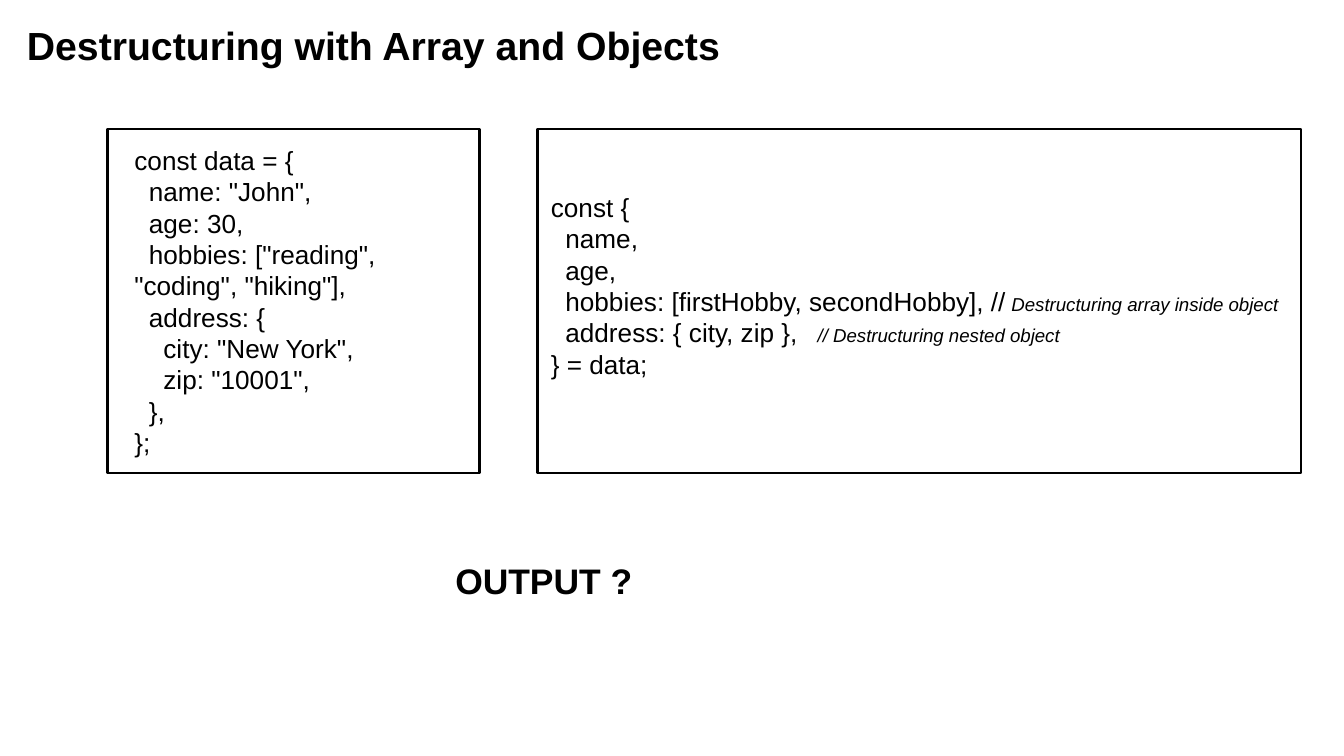
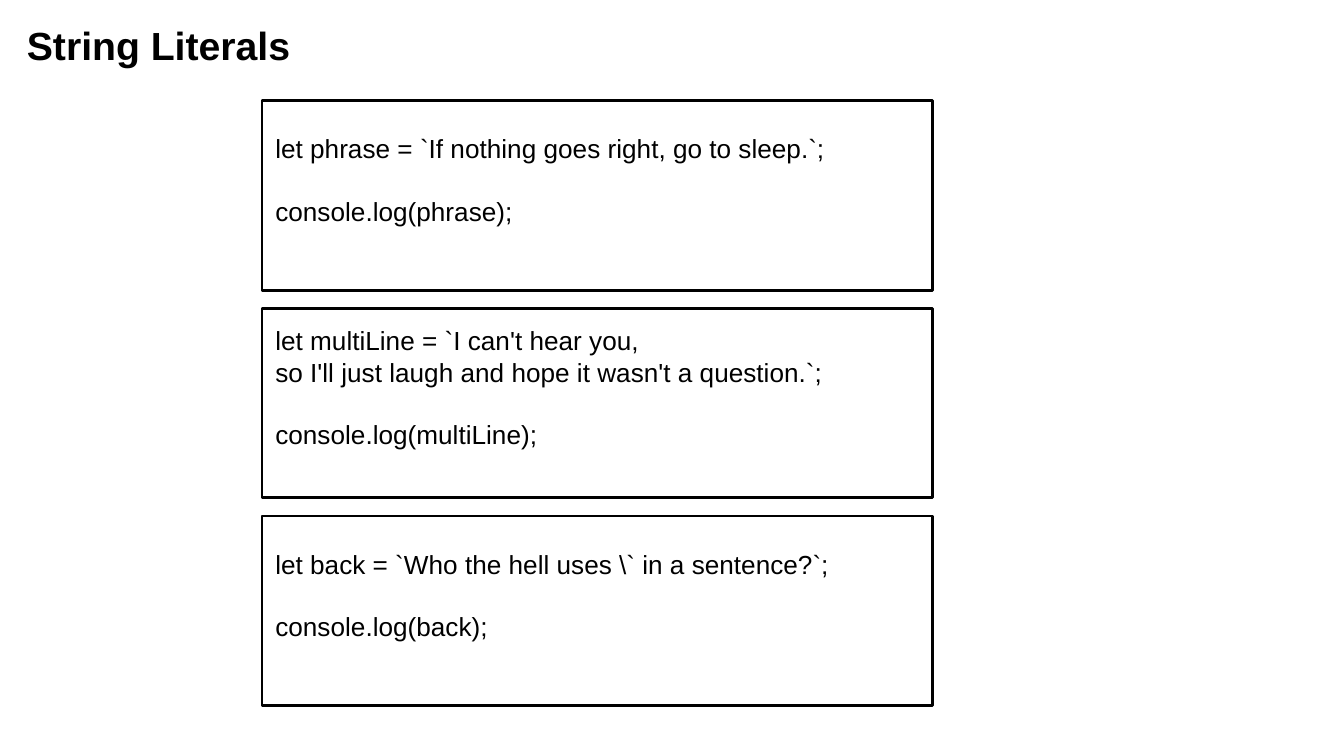
"""Build two slides on JavaScript destructuring and string literals."""
from pptx import Presentation
from pptx.dml.color import RGBColor
from pptx.enum.shapes import MSO_SHAPE
from pptx.enum.text import MSO_ANCHOR, MSO_AUTO_SIZE, PP_ALIGN
from pptx.util import Inches, Pt

RECTANGLE = MSO_SHAPE.RECTANGLE
TOP, MIDDLE = MSO_ANCHOR.TOP, MSO_ANCHOR.MIDDLE
LEFT, CENTER = PP_ALIGN.LEFT, PP_ALIGN.CENTER
NO_FIT = MSO_AUTO_SIZE.NONE

COLORS = {"ink": "000000"}
INK = RGBColor.from_string(COLORS["ink"])
FONT = "Arial"
TITLE_SIZE, OUTPUT_SIZE, CODE_SIZE, COMMENT_SIZE = Pt(21), Pt(19), Pt(14), Pt(10)
CODE_LINE = Pt(16.8)
INSET = Inches(0.1)

deck = Presentation()
deck.slide_width, deck.slide_height = Inches(10), Inches(5.625)
COLUMN, ROW = deck.slide_width / 100, deck.slide_height / 100
title_layout = deck.slide_layouts[5]


def fill_text(box, lines, size, bold=False, align=LEFT, anchor=TOP, inset=INSET):
    """Write lines, each a list of code and comment parts; an empty line becomes a gap."""
    frame = box.text_frame
    frame.word_wrap, frame.auto_size, frame.vertical_anchor = True, NO_FIT, anchor
    frame.margin_left = inset
    frame.margin_right = frame.margin_top = frame.margin_bottom = INSET
    gap, first = 0, True
    for parts in lines:
        if not parts:
            gap += CODE_LINE
            continue
        para = frame.paragraphs[0] if first else frame.add_paragraph()
        para.alignment, para.space_before = align, Pt(0) if first else gap
        para.font.name, para.font.size = FONT, size
        para.font.bold, para.font.color.rgb = bold, INK
        for index, part in enumerate(parts):
            span = para.add_run()
            span.text = part
            if index:
                span.font.size, span.font.italic = COMMENT_SIZE, True
        gap, first = 0, False
    frame.margin_bottom = INSET + gap


def place(box, left, top, width, height):
    """Set a box on the grid of 100 columns and 100 rows."""
    box.left, box.width = round(left * COLUMN), round(width * COLUMN)
    box.top, box.height = round(top * ROW), round(height * ROW)


DATA_CODE = [
    ["const data = {"],
    ["  name: \"John\","],
    ["  age: 30,"],
    ["  hobbies: [\"reading\", \"coding\", \"hiking\"],"],
    ["  address: {"],
    ["    city: \"New York\","],
    ["    zip: \"10001\","],
    ["  },"],
    ["};"],
]
PATTERN_CODE = [
    ["const {"],
    ["  name,"],
    ["  age,"],
    ["  hobbies: [firstHobby, secondHobby], //", " Destructuring array inside object"],
    ["  address: { city, zip },  ", " // Destructuring nested object"],
    ["} = data;"],
    [],
]
PHRASE_CODE = [
    ["let phrase = `If nothing goes right, go to sleep.`;"],
    [],
    ["console.log(phrase);"],
    [],
]
MULTILINE_CODE = [
    ["let multiLine = `I can't hear you,"],
    ["so I'll just laugh and hope it wasn't a question.`;"],
    [],
    ["console.log(multiLine);"],
    [],
]
BACK_CODE = [
    ["let back = `Who the hell uses \\` in a sentence?`;"],
    [],
    ["console.log(back);"],
    [],
]

LITERAL_TOP, LITERAL_STEP = 13.33, 27.47
literals = [
    (19.5, LITERAL_TOP + LITERAL_STEP * index, 49.9, 25.07, INSET, code)
    for index, code in enumerate([PHRASE_CODE, MULTILINE_CODE, BACK_CODE])
]
destructuring = [
    (8, 17.07, 27.7, 45.5, 2 * INSET, DATA_CODE),
    (40, 17.07, 56.8, 45.5, INSET, PATTERN_CODE),
]
slides = [
    ("Destructuring with Array and Objects", destructuring),
    ("String Literals", literals),
]

for heading, panels in slides:
    page = deck.slides.add_slide(title_layout)
    place(page.shapes.title, 1, 1.07, 93.2, 11.2)
    fill_text(page.shapes.title, [[heading]], TITLE_SIZE, bold=True)
    for left, top, width, height, inset, code in panels:
        panel = page.shapes.add_shape(RECTANGLE, 0, 0, 0, 0)
        place(panel, left, top, width, height)
        panel.shadow.inherit = False
        panel.fill.background()
        panel.line.color.rgb, panel.line.width = INK, Pt(1.5)
        fill_text(panel, code, CODE_SIZE, anchor=MIDDLE, inset=inset)

output = deck.slides[0].shapes.add_textbox(0, 0, 0, 0)
place(output, 25.9, 72.2, 24.1, 13.5)
fill_text(output, [["OUTPUT ?"]], OUTPUT_SIZE, bold=True, align=CENTER, inset=6 * INSET)

deck.save("out.pptx")
